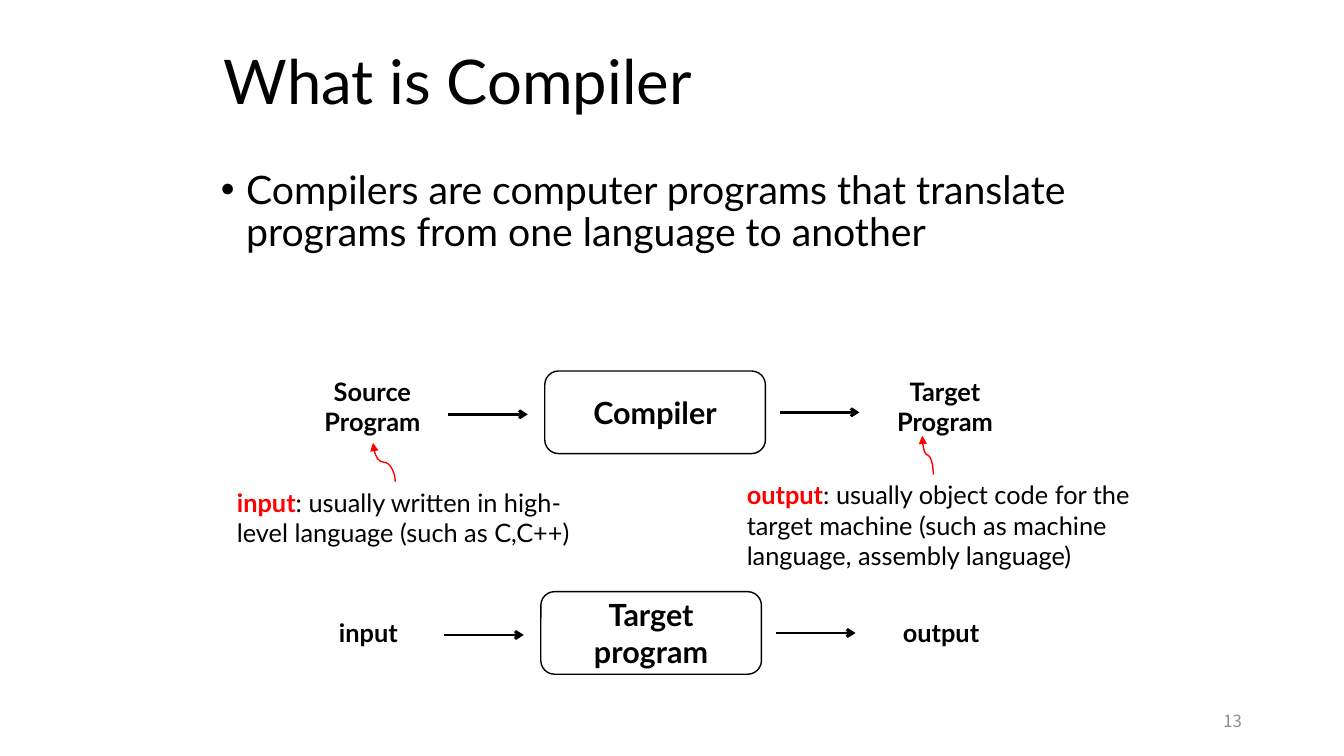
import pptx
import pptx.dml.color
import pptx.enum.shapes
import pptx.enum.text
import pptx.oxml.ns
import pptx.util
from lxml import etree

Cm = pptx.util.Cm
Pt = pptx.util.Pt
RGBColor = pptx.dml.color.RGBColor
Align = pptx.enum.text.PP_ALIGN
Anchor = pptx.enum.text.MSO_ANCHOR
Fit = pptx.enum.text.MSO_AUTO_SIZE
Connector = pptx.enum.shapes.MSO_CONNECTOR
qn = pptx.oxml.ns.qn

BLACK = RGBColor(0x00, 0x00, 0x00)
RED = RGBColor(0xFF, 0x00, 0x00)
GREY = RGBColor(0x8C, 0x8C, 0x8C)
WHITE = RGBColor(0xFF, 0xFF, 0xFF)
FONT = "Lato"
LABEL_SIZE = 18.1
STAGE_SIZE = 21.8


def style_run(run, size, color=BLACK, bold=False, font=FONT):
    run.font.name = font
    run.font.size = Pt(size)
    run.font.bold = bold
    run.font.color.rgb = color


def place(shape, left, top, width, height):
    shape.left, shape.top = Cm(left), Cm(top)
    shape.width, shape.height = Cm(width), Cm(height)


def add_text_box(slide, left, top, width, height):
    frame = slide.shapes.add_textbox(Cm(left), Cm(top), Cm(width), Cm(height)).text_frame
    frame.word_wrap = True
    return frame


def fill_placeholder(placeholder, text, size, box):
    place(placeholder, *box)
    frame = placeholder.text_frame
    frame.text = text
    frame.auto_size = Fit.NONE
    paragraph = frame.paragraphs[0]
    paragraph.alignment = Align.LEFT
    paragraph.line_spacing = 0.9
    paragraph.space_before = Pt(0)
    style_run(paragraph.runs[0], size)
    return paragraph


def add_title(slide, box):
    fill_placeholder(slide.shapes.title, "What is Compiler", 44, box)
    slide.shapes.title.text_frame.vertical_anchor = Anchor.MIDDLE


def add_definition(slide, box):
    paragraph = fill_placeholder(
        slide.placeholders[1],
        "Compilers are computer programs that translate programs from one language to another",
        28, box)
    properties = paragraph._p.get_or_add_pPr()
    properties.set("marL", str(Cm(0.64)))
    properties.set("indent", str(-Cm(0.64)))
    etree.SubElement(properties, qn("a:buFont")).set("typeface", "Arial")
    etree.SubElement(properties, qn("a:buChar")).set("char", "•")


def add_arrow(slide, kind, start, end, color, width, head):
    arrow = slide.shapes.add_connector(kind, Cm(start[0]), Cm(start[1]), Cm(end[0]), Cm(end[1]))
    arrow.line.color.rgb = color
    arrow.line.width = Pt(width)
    etree.SubElement(arrow.line._get_or_add_ln(), qn("a:tailEnd")).set("type", head)
    etree.SubElement(arrow._element.spPr, qn("a:effectLst"))
    return arrow


def add_label(slide, text, left, top, height):
    frame = add_text_box(slide, left, top, 4.65, height)
    frame.text = text
    frame.auto_size = Fit.SHAPE_TO_FIT_TEXT
    frame.paragraphs[0].alignment = Align.CENTER
    style_run(frame.paragraphs[0].runs[0], LABEL_SIZE, bold=True)


def add_flow(slide, left, top, source, stage, result, label_drop, label_height):
    """Draw source -> stage -> result in a row whose top left corner is given."""
    for text, offset in ((source, 0), (result, 14.43)):
        add_label(slide, text, left + offset, top + label_drop, label_height)
    for offset, drop in ((4.24, 1.09), (12.6, 1.04)):
        add_arrow(slide, Connector.STRAIGHT, (left + offset, top + drop),
                  (left + offset + 2, top + drop), BLACK, 2, "arrow")

    stage_box = slide.shapes.add_shape(
        pptx.enum.shapes.MSO_SHAPE.ROUNDED_RECTANGLE,
        Cm(left + 6.67), Cm(top), Cm(5.56), Cm(2.08))
    stage_box.shadow.inherit = False
    stage_box.fill.solid()
    stage_box.fill.fore_color.rgb = WHITE
    stage_box.line.color.rgb = BLACK
    stage_box.line.width = Pt(1)
    frame = stage_box.text_frame
    frame.text = stage
    frame.word_wrap = True
    frame.vertical_anchor = Anchor.MIDDLE
    frame.paragraphs[0].alignment = Align.CENTER
    style_run(frame.paragraphs[0].runs[0], STAGE_SIZE, bold=True)


def add_note(slide, left, top, width, term, explanation, tail_offset, lean):
    """Write a note and point a curved arrow from its top edge up to a label."""
    frame = add_text_box(slide, left, top, width, 2.59)
    paragraph = frame.paragraphs[0]
    paragraph.level = 1
    properties = paragraph._p.get_or_add_pPr()
    properties.set("marL", str(Cm(1.27)))
    properties.set("indent", "0")
    for text, color, bold in ((term, RED, True), (explanation, BLACK, False)):
        run = paragraph.add_run()
        run.text = text
        style_run(run, LABEL_SIZE, color, bold)

    # A quarter turn about the centre makes the curve leave and arrive vertically.
    rise = 0.98
    center_x, center_y = left + tail_offset - lean / 2, top - rise / 2
    pointer = add_arrow(slide, Connector.CURVE,
                        (center_x - rise / 2, center_y + lean / 2),
                        (center_x + rise / 2, center_y - lean / 2), RED, 1, "triangle")
    pointer._element.spPr.find(qn("a:xfrm")).set("rot", str(270 * 60000))


def add_slide_number(slide, left, top, width, height):
    frame = add_text_box(slide, left, top, width, height)
    frame.text = "13"
    frame.vertical_anchor = Anchor.MIDDLE
    frame.paragraphs[0].alignment = Align.RIGHT
    style_run(frame.paragraphs[0].runs[0], 12, GREY, font="Noto Sans CJK SC")


def main():
    deck = pptx.Presentation()
    deck.slide_width, deck.slide_height = Cm(33.87), Cm(19.05)
    slide = deck.slides.add_slide(deck.slide_layouts[1])

    add_definition(slide, (5.31, 4.17, 22.89, 13.13))
    add_title(slide, (5.38, 0.69, 22.81, 2.87))
    add_flow(slide, 7.06, 9.35, "Source Program", "Compiler", "Target Program", 0, 1.8)
    add_note(slide, 4.45, 12.14, 11, "input",
             ": usually written in high-level language (such as C,C++)", 5.51, 0.56)
    add_note(slide, 17.3, 11.96, 12.45, "output",
             ": usually object code for the target machine "
             "(such as machine language, assembly language)", 6.22, 0.28)
    add_flow(slide, 6.96, 14.91, "input", "Target program", "output", 0.51, 1.04)
    add_slide_number(slide, 23.93, 17.65, 7.62, 1.02)
    deck.save("out.pptx")


if __name__ == "__main__":
    main()
